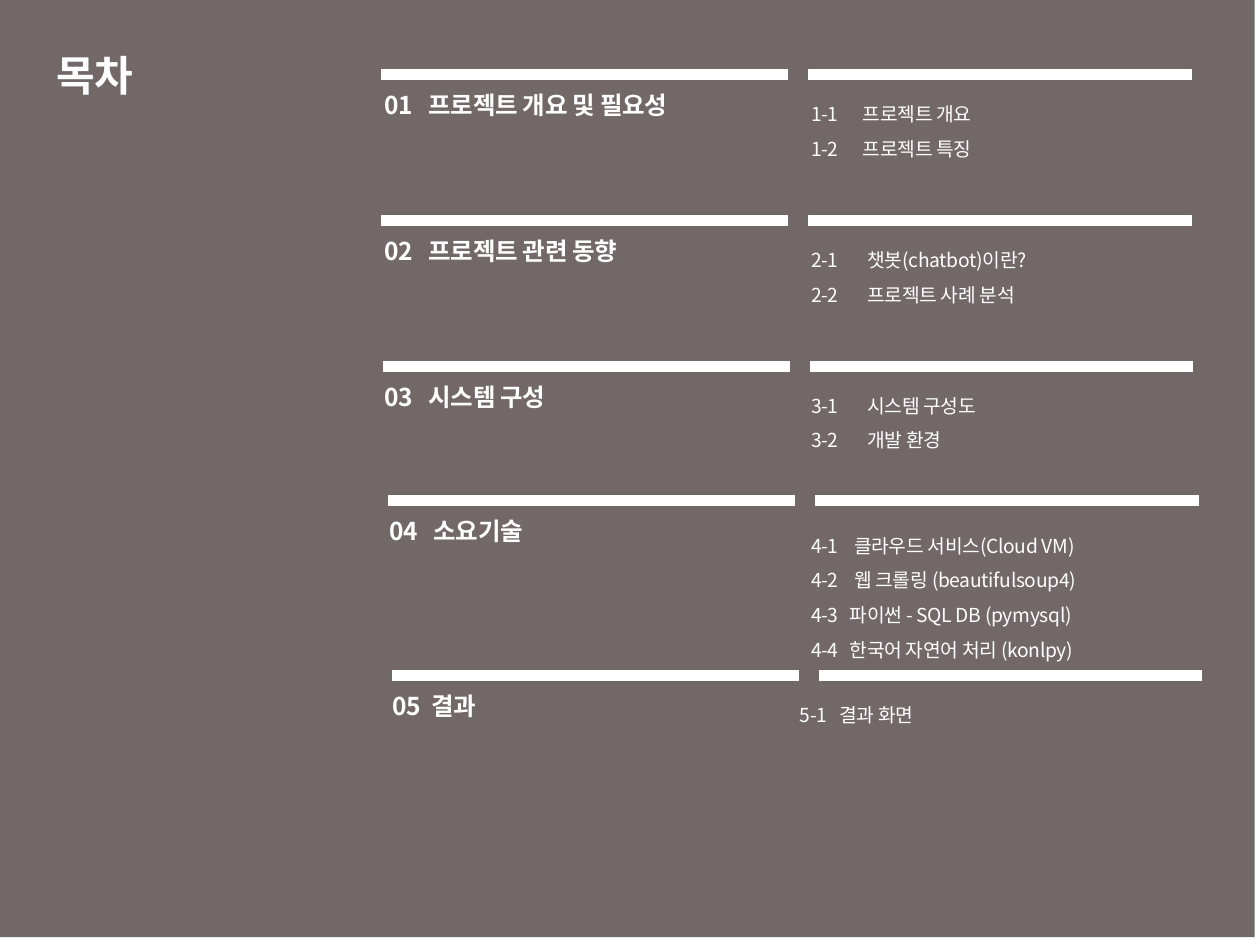
from lxml import etree
from pptx import Presentation
from pptx.dml.color import RGBColor
from pptx.enum import shapes, text
from pptx.oxml.ns import qn
from pptx.util import Pt

WHITE = RGBColor(0xFF, 0xFF, 0xFF)
TAUPE = RGBColor(0x72, 0x68, 0x68)
FONT = "Noto Sans CJK KR"

HEAD_BAR, ITEM_BAR, BAR_GAP = 232.5, 219, 11.5

# bar left, bar top, heading left, heading tab, number, heading,
# items left, items top, [(item tab, number, item)]
SECTIONS = [
    (218, 42.5, 212.4, 25.5, "01", "프로젝트 개요 및 필요성", 456.5, 48.2,
     [(29.5, "1-1", "프로젝트 개요"), (29.5, "1-2", "프로젝트 특징")]),
    (218, 126, 212.4, 25.5, "02", "프로젝트 관련 동향", 456.5, 131.7,
     [(32, "2-1", "챗봇(chatbot)이란?"), (32, "2-2", "프로젝트 사례 분석")]),
    (219, 209.5, 212.4, 25.5, "03", "시스템 구성", 456.5, 215,
     [(32, "3-1", "시스템 구성도"), (32, "3-2", "개발 환경")]),
    (222, 286, 215.3, 25.5, "04", "소요기술", 456.5, 295,
     [(24.5, "4-1", "클라우드 서비스(Cloud VM)"),
      (24.5, "4-2", "웹 크롤링 (beautifulsoup4)"),
      (22, "4-3", "파이썬 - SQL DB (pymysql)"),
      (22, "4-4", "한국어 자연어 처리 (konlpy)")]),
    (224, 386, 217.4, 22, "05", "결과", 450, 391.5,
     [(22.5, "5-1", "결과 화면")]),
]


class Deck:
    """Holds the current slide and the style of its elements."""

    def __init__(self, slide):
        self.s = slide

    def run(self, p, words, size, bold=False, spacing=None):
        r = p.add_run()
        r.text = words
        f = r.font
        f.name, f.size, f.bold = FONT, Pt(size), bold
        f.color.rgb = WHITE
        rpr = r._r.get_or_add_rPr()
        etree.SubElement(rpr, qn("a:ea")).set("typeface", FONT)
        if spacing is not None:
            rpr.set("spc", str(round(spacing * 100)))

    def backdrop(self, x, y, w, h):
        sp = self.s.shapes.add_shape(
            shapes.MSO_SHAPE.RECTANGLE, Pt(x), Pt(y), Pt(w), Pt(h))
        sp.shadow.inherit = False
        sp.fill.solid()
        sp.fill.fore_color.rgb = TAUPE
        sp.line.fill.background()
        self.s.shapes._spTree.insert(2, sp._element)

    def title(self, words, x, y, w, h):
        sp = self.s.shapes.title
        sp.left, sp.top, sp.width, sp.height = Pt(x), Pt(y), Pt(w), Pt(h)
        tf = sp.text_frame
        tf.vertical_anchor = text.MSO_ANCHOR.MIDDLE
        p = tf.paragraphs[0]
        p.alignment = text.PP_ALIGN.LEFT
        self.run(p, words, 24, bold=True)

    def bar(self, x, y, w):
        c = self.s.shapes.add_connector(
            shapes.MSO_CONNECTOR.STRAIGHT, Pt(x), Pt(y), Pt(x + w), Pt(y))
        c.line.color.rgb = WHITE
        c.line.width = Pt(6)
        etree.SubElement(c._element.spPr, qn("a:effectLst"))

    def entries(self, rows, x, y, h, size, bold=False, before=None, spacing=None):
        """Text box of numbered rows, each a (tab, number, words) triple."""
        tf = self.s.shapes.add_textbox(Pt(x), Pt(y), Pt(260.5), Pt(h)).text_frame
        tf.word_wrap = True
        for i, (tab, number, words) in enumerate(rows):
            p = tf.add_paragraph() if i else tf.paragraphs[0]
            if before is not None:
                p.space_before = Pt(before)
            if spacing is not None:
                p.line_spacing = spacing
            tabs = etree.SubElement(p._p.get_or_add_pPr(), qn("a:tabLst"))
            etree.SubElement(tabs, qn("a:tab"), pos=str(Pt(tab)), algn="l")
            self.run(p, f"{number}\t{words}", size, bold, -0.2)


def main():
    prs = Presentation()
    prs.slide_width, prs.slide_height = Pt(720), Pt(540)
    deck = Deck(prs.slides.add_slide(prs.slide_layouts[5]))
    deck.backdrop(-3, -5.5, 720, 541)
    deck.title("목차", 25, 20, 227, 45.5)
    for x, y, head_x, tab, number, head, items_x, items_y, items in SECTIONS:
        deck.bar(x, y, HEAD_BAR)
        deck.bar(x + HEAD_BAR + BAR_GAP, y, ITEM_BAR)
        deck.entries([(tab, number, head)], head_x, y + 5.5, 28.5, 14,
                     bold=True, before=3)
        deck.entries(items, items_x, items_y, 51, 11, spacing=1.5)
    prs.save("out.pptx")


if __name__ == "__main__":
    main()
